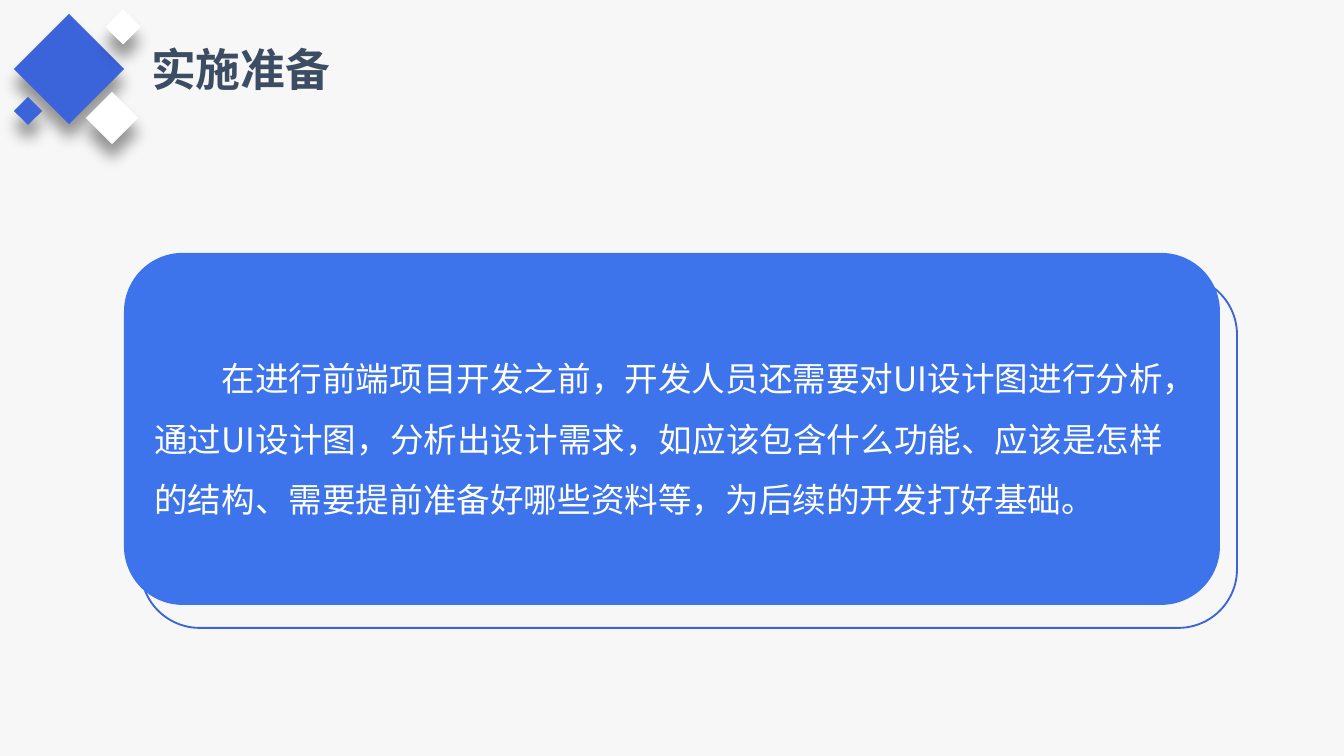
from lxml.etree import SubElement
from pptx import Presentation
from pptx.dml.color import RGBColor
from pptx.enum.shapes import MSO_SHAPE as Shape
from pptx.enum.text import MSO_ANCHOR as Anchor, MSO_AUTO_SIZE as AutoSize, PP_ALIGN as Align
from pptx.oxml.ns import qn
from pptx.util import Inches, Pt

FONT = "Noto Sans CJK SC"
BLUE, CARD_BLUE, WHITE = "3B64DA", "3D74EB", "FFFFFF"
SLATE, PAPER = "3C4D63", "F7F7F7"
CARD_SIZE = (1096, 352)

TITLE = "实施准备"
BODY = (
    "在进行前端项目开发之前，开发人员还需要对UI设计图进行分析，"
    "通过UI设计图，分析出设计需求，如应该包含什么功能、应该是怎样的结构、"
    "需要提前准备好哪些资料等，为后续的开发打好基础。"
)

# Center x, center y, side, colour
DIAMONDS = [
    (69, 69, 78, BLUE),
    (112, 118, 37, WHITE),
    (123, 27, 25, WHITE),
    (28, 111, 20, BLUE),
]


def px(length):
    return Inches(length / 134.4)


def rgb(value):
    return RGBColor.from_string(value)


def add_block(page, kind, left, top, width, height, fill=None, line=None):
    block = page.shapes.add_shape(kind, px(left), px(top), px(width), px(height))
    block.shadow.inherit = False
    if fill:
        block.fill.solid()
        block.fill.fore_color.rgb = rgb(fill)
    else:
        block.fill.background()
    if line:
        block.line.color.rgb = rgb(line)
        block.line.width = Pt(1)
    else:
        block.line.fill.background()
    return block


def add_drop_shadow(block):
    effects = block.element.spPr.find(qn("a:effectLst"))
    shadow = SubElement(effects, qn("a:outerShdw"), blurRad=str(Pt(8)),
                        dist=str(Pt(8)), dir="5400000", rotWithShape="0")
    color = SubElement(shadow, qn("a:srgbClr"), val="000000")
    SubElement(color, qn("a:alpha"), val="40000")


def add_diamond(page, center_x, center_y, side, fill):
    diamond = add_block(page, Shape.RECTANGLE, center_x - side / 2,
                        center_y - side / 2, side, side, fill)
    diamond.rotation = 45
    add_drop_shadow(diamond)


def write_text(box, text, size, color, bold=False):
    para = box.text_frame.paragraphs[0]
    para.text = text
    para.alignment = Align.LEFT
    font = para.runs[0].font
    font.name, font.size, font.bold = FONT, Pt(size), bold
    font.color.rgb = rgb(color)
    # Chinese characters take the East Asian typeface
    SubElement(para.runs[0].font._element, qn("a:ea"), typeface=FONT)
    return para


def add_title(page):
    box = page.shapes.add_textbox(px(138), px(35), px(207), px(67))
    box.text_frame.word_wrap = False
    box.text_frame.auto_size = AutoSize.SHAPE_TO_FIT_TEXT
    write_text(box, TITLE, 24, SLATE, bold=True)


def add_card(page):
    card = add_block(page, Shape.ROUNDED_RECTANGLE, 124, 253, *CARD_SIZE, fill=CARD_BLUE)
    card.text_frame.word_wrap = True
    card.text_frame.vertical_anchor = Anchor.MIDDLE
    para = write_text(card, BODY, 18, WHITE)
    para.line_spacing = 1.5
    # First-line indent of two characters
    para._p.get_or_add_pPr().set("indent", str(Inches(0.5)))


def main():
    deck = Presentation()
    deck.slide_width, deck.slide_height = px(1344), px(756)
    page = deck.slides.add_slide(deck.slide_layouts[6])
    page.background.fill.solid()
    page.background.fill.fore_color.rgb = rgb(PAPER)

    # Outline that sits behind the card
    add_block(page, Shape.ROUNDED_RECTANGLE, 141, 276, *CARD_SIZE, line=BLUE)

    # Heading with its diamonds
    add_title(page)
    for diamond in DIAMONDS:
        add_diamond(page, *diamond)

    # Body text
    add_card(page)
    deck.save("out.pptx")


if __name__ == "__main__":
    main()
